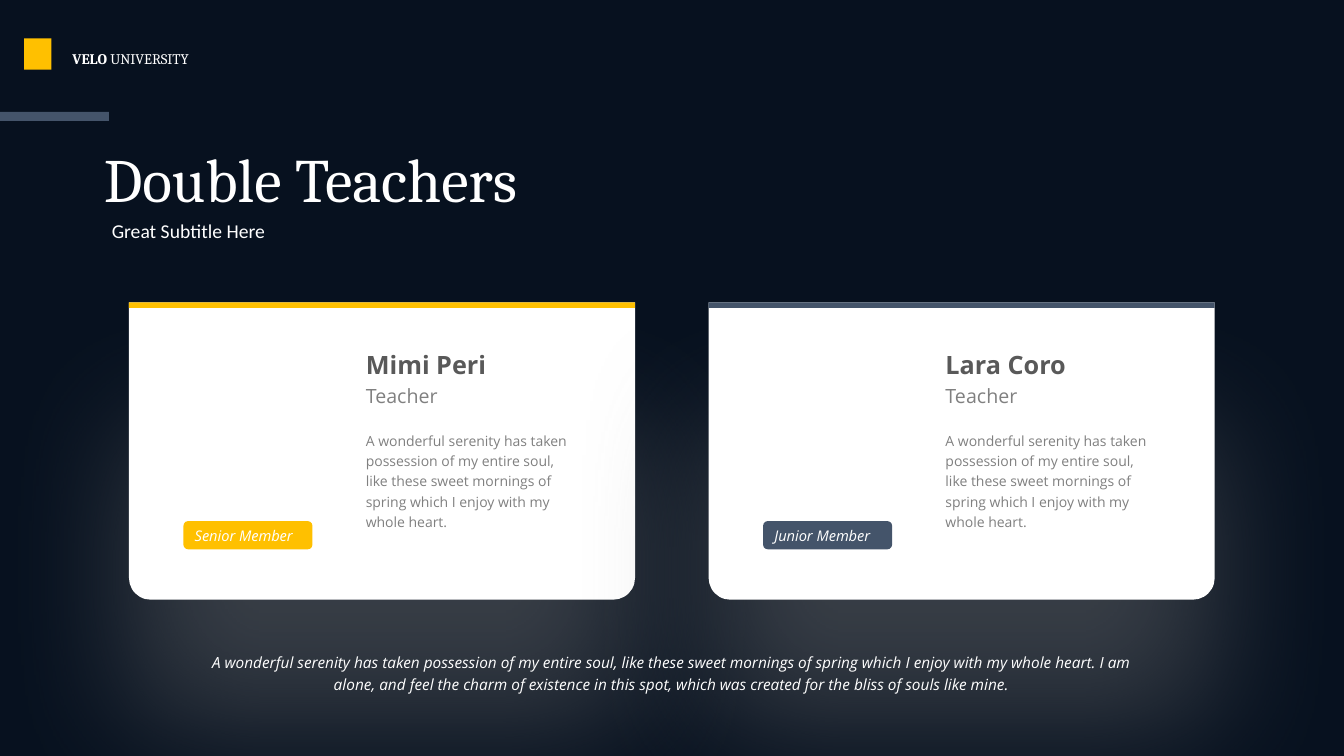
from lxml import etree
from pptx import Presentation
from pptx.dml.color import RGBColor
from pptx.enum.shapes import MSO_SHAPE
from pptx.enum.text import MSO_ANCHOR, MSO_AUTO_SIZE, PP_ALIGN
from pptx.oxml.ns import qn
from pptx.util import Inches, Pt

RECT = MSO_SHAPE.RECTANGLE
ROUNDED = MSO_SHAPE.ROUNDED_RECTANGLE
ROUND_TOP = MSO_SHAPE.ROUND_2_SAME_RECTANGLE
TOP, MIDDLE = MSO_ANCHOR.TOP, MSO_ANCHOR.MIDDLE
LEFT, CENTER = PP_ALIGN.LEFT, PP_ALIGN.CENTER

NAVY = RGBColor(0x07, 0x11, 0x1F)
SLATE = RGBColor(0x44, 0x54, 0x6A)
GOLD = RGBColor(0xFF, 0xC0, 0x00)
WHITE = RGBColor(0xFF, 0xFF, 0xFF)
GREY = RGBColor(0x80, 0x80, 0x80)
DARK_GREY = RGBColor(0x59, 0x59, 0x59)

SERIF, SANS, SUBTITLE_FONT = "Cambria", "Open Sans", "Calibri"
WIDTH, HEIGHT = Inches(13.33), Inches(7.5)

# Card geometry in percent of the slide's width or height
CARD_LEFT, CARD_STEP, CARD_WIDTH = 9.6, 43.13, 37.65
CARD_TOP, CARD_HEIGHT = 40, 39.33
TEXT_INDENT, BADGE_INDENT = 16.88, 4.05

SERENITY = ("A wonderful serenity has taken possession of my entire soul, like these "
            "sweet mornings of spring which I enjoy with my whole heart.")
QUOTE = SERENITY + (" I am alone, and feel the charm of existence in this spot, "
                    "which was created for the bliss of souls like mine.")
TEACHERS = [("Mimi Peri", "Senior Member", GOLD),
            ("Lara Coro", "Junior Member", SLATE)]


def share(x, y, w, h):
    """Turn percentages of the slide into left, top, width and height."""
    return (int(WIDTH * x / 100), int(HEIGHT * y / 100),
            int(WIDTH * w / 100), int(HEIGHT * h / 100))


def write(sp, text, size, font=SANS, color=WHITE, bold=False, italic=False,
          align=LEFT, anchor=TOP, spacing=None):
    """Fill a shape with one paragraph; text is a string or (text, bold) runs."""
    tf = sp.text_frame
    tf.word_wrap = True
    tf.auto_size = MSO_AUTO_SIZE.NONE
    tf.vertical_anchor = anchor
    p = tf.paragraphs[0]
    p.alignment = align
    p.line_spacing = spacing
    runs = [(text, bold)] if isinstance(text, str) else text
    for words, weight in runs:
        r = p.add_run()
        r.text = words
        r.font.name = font
        r.font.size = Pt(size)
        r.font.bold = weight
        r.font.italic = italic
        r.font.color.rgb = color


def add_text(slide, area, text, size, **style):
    write(slide.shapes.add_textbox(*share(*area)), text, size, **style)


def add_block(slide, area, color, kind=RECT):
    sp = slide.shapes.add_shape(kind, *share(*area))
    sp.shadow.inherit = False
    sp.fill.solid()
    sp.fill.fore_color.rgb = color
    sp.line.fill.background()
    return sp


def add_glow(sp):
    """Cast a wide, soft grey shadow below the shape."""
    effects = sp.element.spPr.find(qn("a:effectLst"))
    shadow = etree.SubElement(effects, qn("a:outerShdw"), blurRad=str(Pt(100)),
                              dist=str(Pt(88)), dir=str(90 * 60000),
                              rotWithShape="0")
    color = etree.SubElement(shadow, qn("a:srgbClr"), val=str(GREY))
    etree.SubElement(color, qn("a:alpha"), val="40000")


def add_panel(slide, left):
    panel = add_block(slide, (left, CARD_TOP, CARD_WIDTH, CARD_HEIGHT), WHITE, ROUND_TOP)
    panel.adjustments[0] = 0.073
    panel.element.spPr.find(qn("a:xfrm")).set("flipV", "1")
    add_glow(panel)


def add_badge(slide, left, text, color):
    badge = add_block(slide, (left, 68.93, 9.6, 3.73), color, ROUNDED)
    write(badge, text, 10.5, italic=True, anchor=MIDDLE)
    tf = badge.text_frame
    tf.margin_left = Inches(0.1)
    tf.margin_right = tf.margin_top = tf.margin_bottom = 0


def add_teacher(slide, left, name, member, color):
    add_block(slide, (left, CARD_TOP, CARD_WIDTH, 0.72), color)
    x = left + TEXT_INDENT
    add_text(slide, (x, 45.6, 16.43, 5.33), name, 18, color=DARK_GREY, bold=True)
    add_text(slide, (x, 50.13, 16.43, 4.53), "Teacher", 14, color=GREY)
    add_text(slide, (x, 56.13, 17.18, 14.67), SERENITY, 10, color=GREY, spacing=1.2)
    add_badge(slide, left + BADGE_INDENT, member, color)


def add_header(slide):
    add_block(slide, (1.8, 5.07, 2.03, 4.13), GOLD)
    add_text(slide, (4.65, 5.87, 11.33, 3.73),
             [("VELO ", True), ("UNIVERSITY", False)], 10.5, font=SERIF)
    add_block(slide, (0, 14.8, 8.1, 1.2), SLATE)
    title = slide.shapes.title
    title.left, title.top, title.width, title.height = share(6.98, 16, 45.08, 15.07)
    write(title, "Double Teachers", 44, font=SERIF, anchor=MIDDLE)
    add_text(slide, (7.58, 28.27, 27.15, 4.53), "Great Subtitle Here", 14,
             font=SUBTITLE_FONT)


def main():
    prs = Presentation()
    prs.slide_width, prs.slide_height = WIDTH, HEIGHT
    slide = prs.slides.add_slide(prs.slide_layouts.get_by_name("Title Only"))
    slide.background.fill.solid()
    slide.background.fill.fore_color.rgb = NAVY

    lefts = [CARD_LEFT + i * CARD_STEP for i in range(len(TEACHERS))]
    for left in lefts:
        add_panel(slide, left)
    add_header(slide)
    for left, teacher in zip(lefts, TEACHERS):
        add_teacher(slide, left, *teacher)
    add_text(slide, (14.48, 85.2, 71.03, 7.07), QUOTE, 11, italic=True,
             align=CENTER, spacing=1.2)
    prs.save("out.pptx")


if __name__ == "__main__":
    main()
